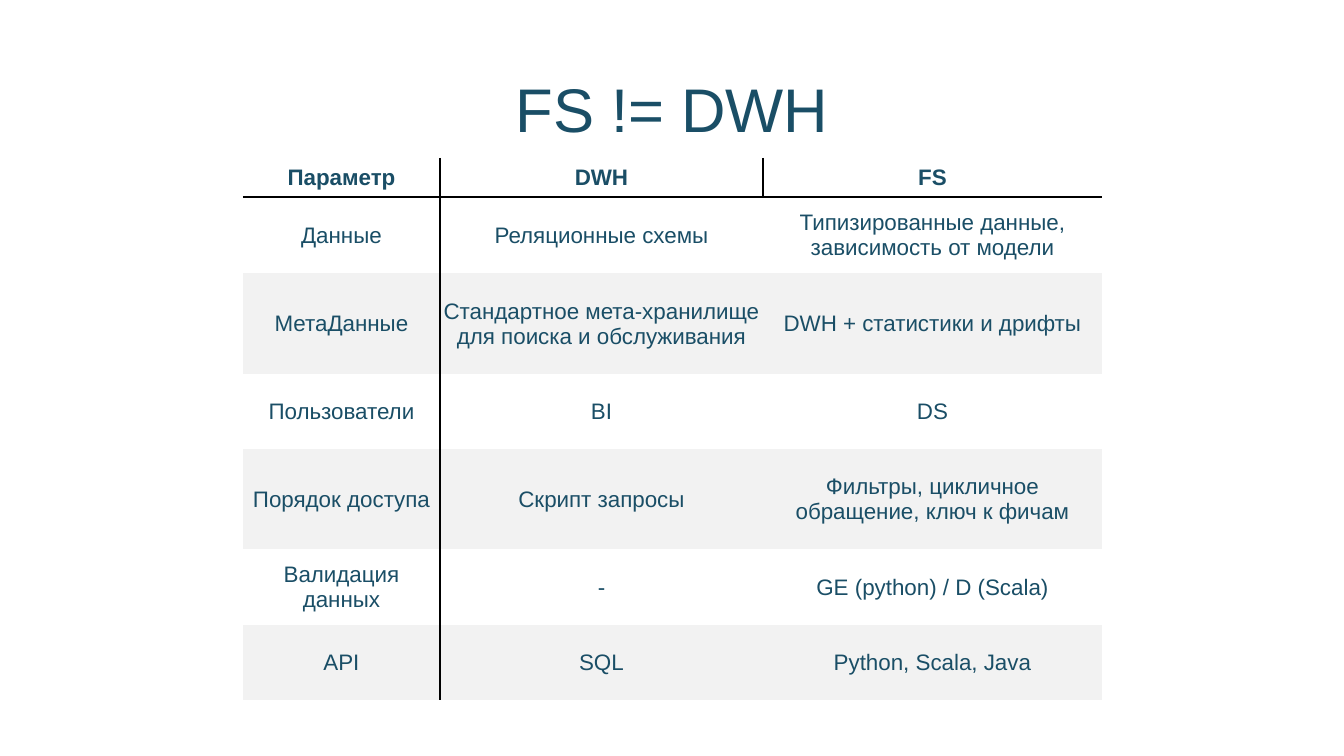
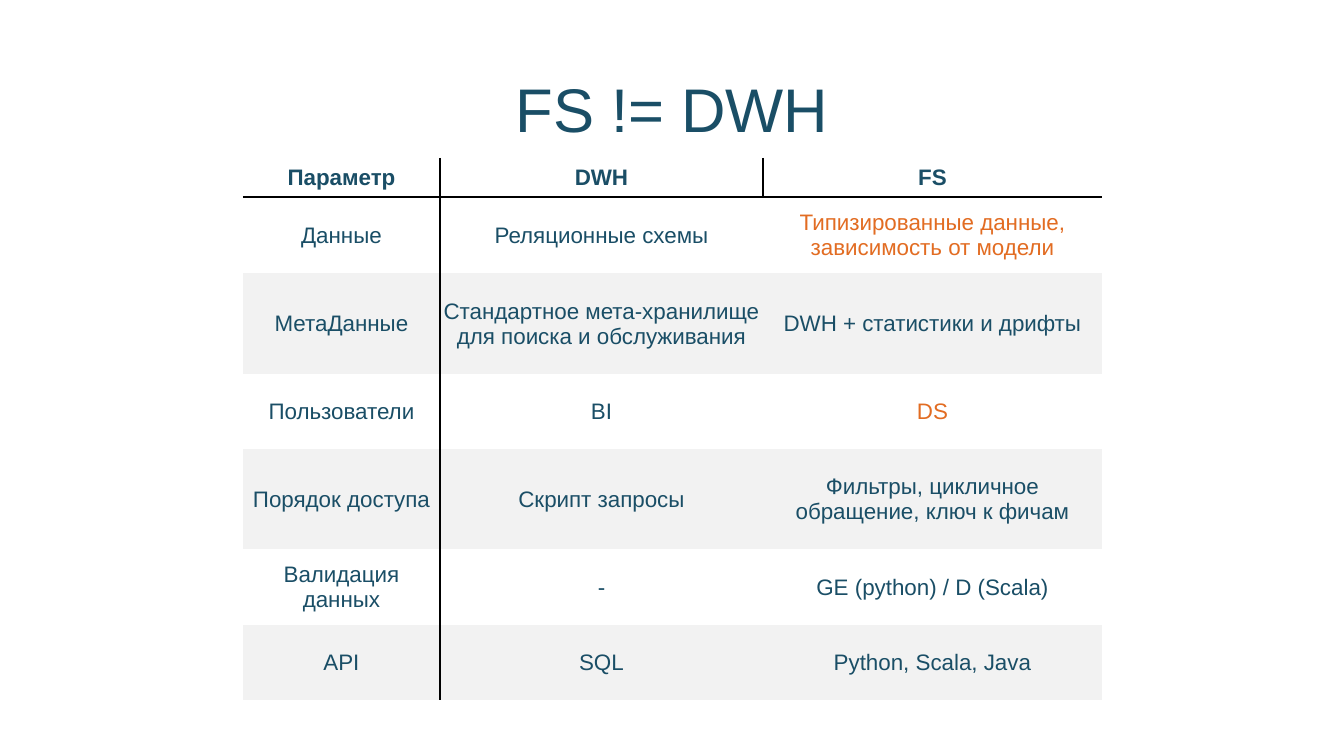
from lxml import etree
from pptx import Presentation, util as u
from pptx.dml.color import RGBColor
from pptx.enum import text
from pptx.oxml.ns import qn

SLIDE_WIDTH, SLIDE_HEIGHT = 1344, 756
SCALE = u.Inches(40 / 3) / SLIDE_WIDTH
FONT = "Arial"
TEAL, ORANGE, WHITE, GREY, BLACK = "1A4E66", "E26C22", "FFFFFF", "F2F2F2", "000000"
TABLE_LEFT, TABLE_TOP = 243, 158
COLUMN_WIDTHS = (197, 323, 339)
ROW_HEIGHTS = (39, 76, 101, 75, 100, 76, 75)
COMPARISON = (
    ("Параметр", "DWH", "FS"),
    ("Данные", "Реляционные схемы", "Типизированные данные, зависимость от модели"),
    ("МетаДанные", "Стандартное мета-хранилище для поиска и обслуживания",
     "DWH + статистики и дрифты"),
    ("Пользователи", "BI", "DS"),
    ("Порядок доступа", "Скрипт запросы", "Фильтры, цикличное обращение, ключ к фичам"),
    ("Валидация данных", "-", "GE (python) / D (Scala)"),
    ("API", "SQL", "Python, Scala, Java"),
)
HIGHLIGHTS = ((), ((1, 2), (3, 2)))


def px(length):
    return u.Emu(round(length * SCALE))


def color(hex_string):
    return RGBColor.from_string(hex_string)


def style_paragraph(paragraph, size, hex_string, bold=False):
    paragraph.alignment = text.PP_ALIGN.CENTER
    font = paragraph.font
    font.name, font.size, font.bold = FONT, u.Pt(size), bold
    font.color.rgb = color(hex_string)


def add_title(slide, wording):
    title = slide.shapes.title
    title.left, title.top, title.width, title.height = map(px, (93, 40, 1159, 146))
    frame = title.text_frame
    frame.text = wording
    frame.auto_size = text.MSO_AUTO_SIZE.NONE
    frame.vertical_anchor = text.MSO_ANCHOR.MIDDLE
    style_paragraph(frame.paragraphs[0], 44, TEAL)
    frame.paragraphs[0].line_spacing = 0.9


def set_borders(cell, black_edges):
    properties = cell._tc.get_or_add_tcPr()
    for edge in "LRTB":
        line = etree.SubElement(properties, qn(f"a:ln{edge}"), w=str(u.Pt(1)))
        if edge in black_edges:
            fill = etree.SubElement(line, qn("a:solidFill"))
            etree.SubElement(fill, qn("a:srgbClr"), val=BLACK)
        else:
            etree.SubElement(line, qn("a:noFill"))


def find_black_edges(row, column):
    rules = {
        "L": column == 1 or (row == 0 and column == 2),
        "R": column == 0 or (row == 0 and column == 1),
        "T": row == 1,
        "B": row == 0,
    }
    return [edge for edge, is_black in rules.items() if is_black]


def fill_cell(cell, wording, row, column, text_color):
    cell.text = wording
    cell.vertical_anchor = text.MSO_ANCHOR.MIDDLE
    cell.margin_left = cell.margin_right = cell.margin_top = px(1)
    cell.margin_bottom = 0
    set_borders(cell, find_black_edges(row, column))
    cell.fill.solid()
    cell.fill.fore_color.rgb = color(GREY if row and row % 2 == 0 else WHITE)
    style_paragraph(cell.text_frame.paragraphs[0], 16, text_color, bold=row == 0)


def add_comparison(slide, highlights):
    frame = slide.shapes.add_table(
        len(ROW_HEIGHTS), len(COLUMN_WIDTHS), px(TABLE_LEFT), px(TABLE_TOP),
        px(sum(COLUMN_WIDTHS)), px(sum(ROW_HEIGHTS)))
    table = frame.table
    table.horz_banding = False
    for column, width in zip(table.columns, COLUMN_WIDTHS):
        column.width = px(width)
    for row, height in zip(table.rows, ROW_HEIGHTS):
        row.height = px(height)
    for row, wordings in enumerate(COMPARISON):
        for column, wording in enumerate(wordings):
            text_color = ORANGE if (row, column) in highlights else TEAL
            fill_cell(table.cell(row, column), wording, row, column, text_color)


def main():
    deck = Presentation()
    deck.slide_width, deck.slide_height = px(SLIDE_WIDTH), px(SLIDE_HEIGHT)
    title_only = deck.slide_layouts.get_by_name("Title Only")
    for highlights in HIGHLIGHTS:
        slide = deck.slides.add_slide(title_only)
        add_title(slide, "FS != DWH")
        add_comparison(slide, highlights)
    deck.save("out.pptx")


if __name__ == "__main__":
    main()
